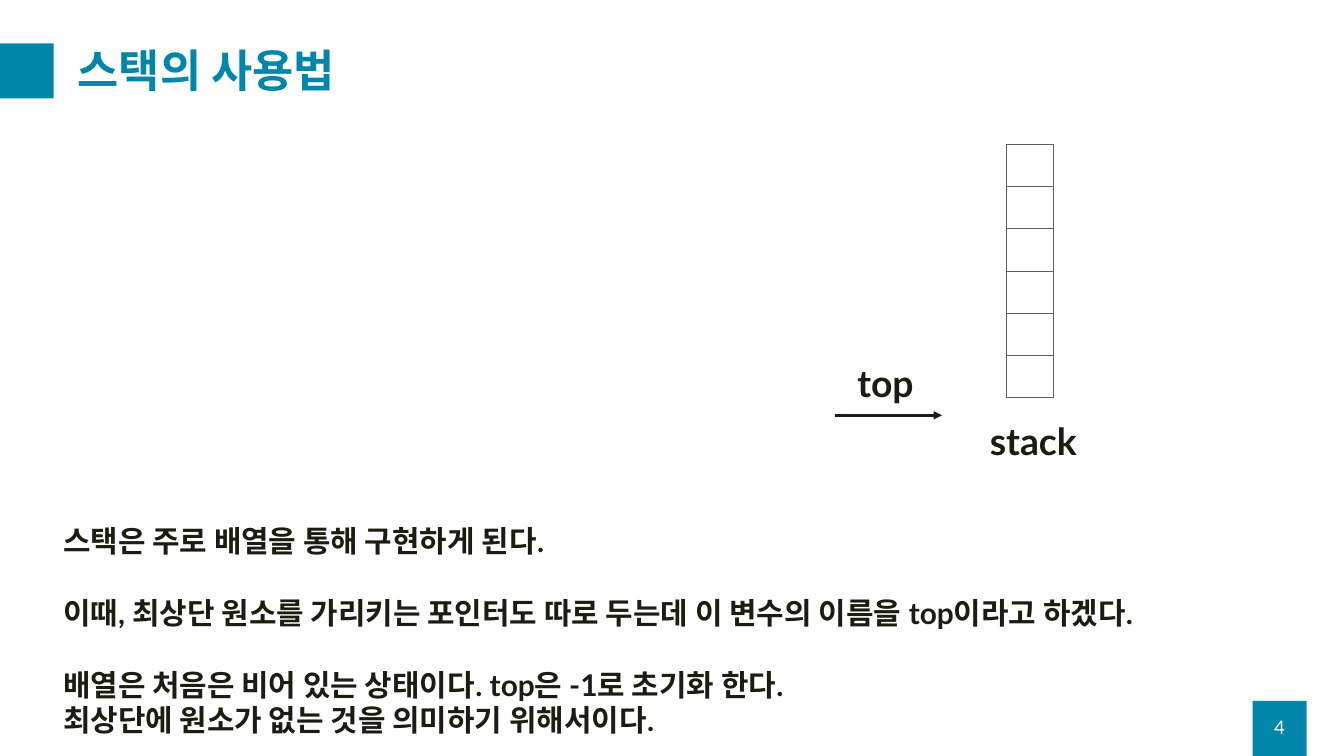
from dataclasses import dataclass

from pptx import Presentation
from pptx.dml.color import RGBColor
from pptx.enum.shapes import MSO_CONNECTOR, MSO_SHAPE
from pptx.enum.text import MSO_ANCHOR, PP_ALIGN
from pptx.oxml.ns import qn
from pptx.util import Pt
from lxml import etree

RECT = MSO_SHAPE.RECTANGLE
STRAIGHT = MSO_CONNECTOR.STRAIGHT
LEFT, CENTER = PP_ALIGN.LEFT, PP_ALIGN.CENTER
TOP, MIDDLE = MSO_ANCHOR.TOP, MSO_ANCHOR.MIDDLE


@dataclass(frozen=True)
class Theme:
    font: str = "Lato"
    accent: str = "0086AB"
    ink: str = "1E1C11"
    white: str = "FFFFFF"
    grid: str = "5F5F5F"
    title: float = 48
    label: float = 40
    body: float = 32
    number: float = 20


THEME = Theme()


@dataclass(frozen=True)
class Box:
    x: float
    y: float
    w: float
    h: float


@dataclass(frozen=True)
class Line:
    text: str
    before: float = 0


@dataclass(frozen=True)
class Text:
    box: Box
    lines: tuple[Line, ...]
    size: float
    color: str = THEME.ink
    bold: bool = True
    align: PP_ALIGN = LEFT
    anchor: MSO_ANCHOR = TOP
    spacing: float = 1.0


BODY_GAP = 38.5  # one body line
ACCENTS = (Box(-0.5, 46.5, 58, 59), Box(1342, 751, 58, 59))
STACK_BOX, STACK_ROWS = Box(1078.5, 154.8, 50.4, 271.4), 6

TEXTS = (
    Text(Box(76.3, 36, 1314, 85), (Line("스택의 사용법"),), THEME.title,
         THEME.accent, anchor=MIDDLE, spacing=0.9),
    Text(Box(1342, 757.5, 58, 43), (Line("4"),), THEME.number, THEME.white,
         bold=False, align=CENTER, anchor=MIDDLE),
    Text(Box(60.5, 556.5, 1247, 240), (
        Line("스택은 주로 배열을 통해 구현하게 된다."),
        Line("이때, 최상단 원소를 가리키는 포인터도 따로 두는데 이 변수의 이름을 top이라고 하겠다.", BODY_GAP),
        Line("배열은 처음은 비어 있는 상태이다. top은 -1로 초기화 한다.", BODY_GAP),
        Line("최상단에 원소가 없는 것을 의미하기 위해서이다."),
    ), THEME.body),
    Text(Box(1053.4, 445, 123, 55.5), (Line("stack"),), THEME.label),
    Text(Box(911.5, 382.3, 123, 55.5), (Line("top"),), THEME.label),
)


def rgb(color: str) -> RGBColor:
    return RGBColor.from_string(color)


def place(box: Box) -> tuple[Pt, Pt, Pt, Pt]:
    return Pt(box.x), Pt(box.y), Pt(box.w), Pt(box.h)


def add_accent(s, box: Box) -> None:
    sp = s.shapes.add_shape(RECT, *place(box))
    sp.shadow.inherit = False
    sp.fill.solid()
    sp.fill.fore_color.rgb = rgb(THEME.accent)
    sp.line.fill.background()


def add_text(s, text: Text) -> None:
    tf = s.shapes.add_textbox(*place(text.box)).text_frame
    tf.word_wrap = True
    tf.vertical_anchor = text.anchor
    for i, line in enumerate(text.lines):
        p = tf.paragraphs[0] if i == 0 else tf.add_paragraph()
        p.text = line.text
        p.alignment = text.align
        p.line_spacing = text.spacing
        p.space_before = Pt(line.before)
        for r in p.runs:
            r.font.name = THEME.font
            r.font.size = Pt(text.size)
            r.font.bold = text.bold
            r.font.color.rgb = rgb(text.color)


def add_borders(cell) -> None:
    tc_pr = cell._tc.get_or_add_tcPr()
    for side in ("a:lnL", "a:lnR", "a:lnT", "a:lnB"):
        ln = etree.SubElement(tc_pr, qn(side), w=str(Pt(1)))
        fill = etree.SubElement(ln, qn("a:solidFill"))
        etree.SubElement(fill, qn("a:srgbClr"), val=THEME.grid)


def add_stack(s, box: Box, rows: int) -> None:
    table = s.shapes.add_table(rows, 1, *place(box)).table
    table.first_row = False
    table.horz_banding = False
    for row in table.rows:
        row.height = Pt(box.h / rows)
        cell = row.cells[0]
        add_borders(cell)
        cell.fill.background()


def add_arrow(s, x1: float, x2: float, y: float) -> None:
    sp = s.shapes.add_connector(STRAIGHT, Pt(x1), Pt(y), Pt(x2), Pt(y))
    sp.line.color.rgb = rgb(THEME.ink)
    sp.line.width = Pt(3)
    etree.SubElement(sp.line._get_or_add_ln(), qn("a:tailEnd"), type="triangle")
    etree.SubElement(sp._element.spPr, qn("a:effectLst"))


def main() -> None:
    prs = Presentation()
    prs.slide_width, prs.slide_height = Pt(1440), Pt(810)
    s = prs.slides.add_slide(prs.slide_layouts[6])

    # Accent blocks beside the title and behind the page number
    for box in ACCENTS:
        add_accent(s, box)

    # Empty stack with its top pointer
    add_stack(s, STACK_BOX, STACK_ROWS)
    add_arrow(s, 894.2, 1009.4, 445)

    # Title, page number, explanation and labels
    for text in TEXTS:
        add_text(s, text)

    prs.save("out.pptx")


if __name__ == "__main__":
    main()
